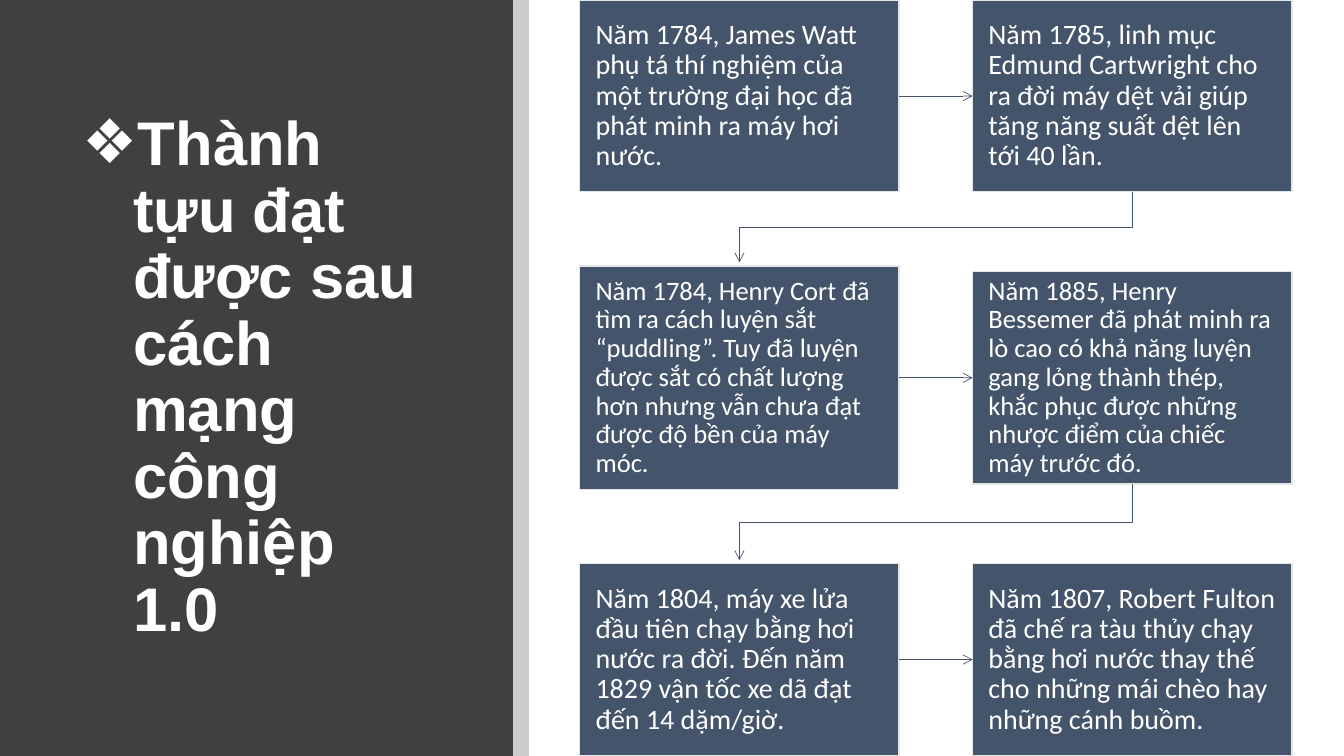
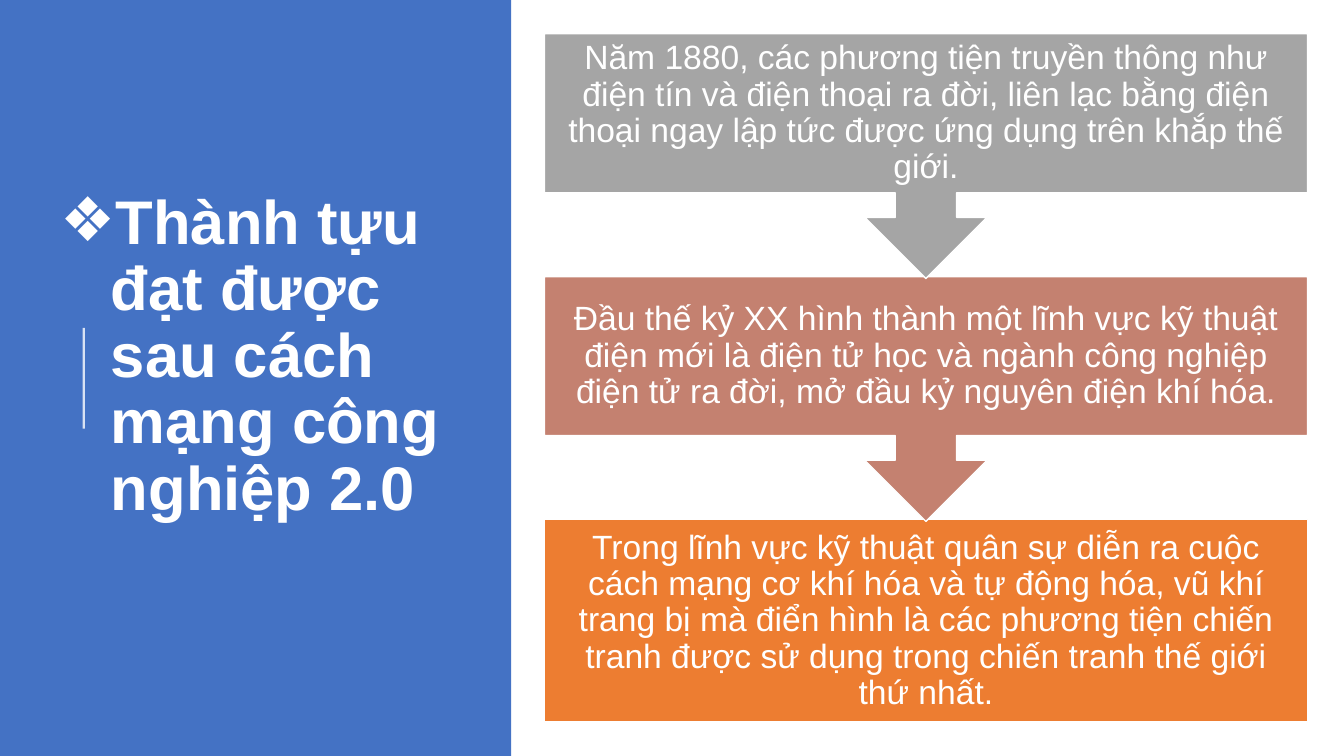
from dataclasses import dataclass
from itertools import pairwise

from lxml.etree import SubElement
from pptx import Presentation
from pptx.dml.color import RGBColor
from pptx.enum.shapes import MSO_CONNECTOR, MSO_SHAPE
from pptx.enum.text import MSO_ANCHOR, MSO_AUTO_SIZE, PP_ALIGN
from pptx.oxml.ns import qn
from pptx.util import Cm, Pt


@dataclass(frozen=True)
class Theme:
    white: str = "FFFFFF"
    black: str = "000000"
    charcoal: str = "404040"
    blue: str = "4472C4"
    slate: str = "44546A"
    pale: str = "E7E6E6"
    gray: str = "A5A5A5"
    clay: str = "C48170"
    orange: str = "ED7D31"
    head_font: str = "Arial"
    body_font: str = "Calibri"
    title_size: int = 44
    stage_size: int = 24
    spacing: float = 0.9


T = Theme()
SLIDE_W, SLIDE_H = Cm(33.87), Cm(19.05)

FIRST = {
    "title": "Thành tựu đạt được sau cách mạng công nghiệp 1.0",
    "title_at": (1.83, 2.03, 9.27, 15.01),
    "panel": (12.93, T.charcoal),
    "rows": [
        (20, [
            (4.83, "Năm 1784, James Watt phụ tá thí nghiệm của một trường đại học đã phát minh ra máy hơi nước."),
            (4.83, "Năm 1785, linh mục Edmund Cartwright cho ra đời máy dệt vải giúp tăng năng suất dệt lên tới 40 lần."),
        ]),
        (19, [
            (5.64, "Năm 1784, Henry Cort đã tìm ra cách luyện sắt “puddling”. Tuy đã luyện được sắt có chất lượng hơn nhưng vẫn chưa đạt được độ bền của máy móc."),
            (5.36, "Năm 1885, Henry Bessemer đã phát minh ra lò cao có khả năng luyện gang lỏng thành thép, khắc phục được những nhược điểm của chiếc máy trước đó."),
        ]),
        (20, [
            (4.83, "Năm 1804, máy xe lửa đầu tiên chạy bằng hơi nước ra đời. Đến năm 1829 vận tốc xe dã đạt đến 14 dặm/giờ."),
            (4.83, "Năm 1807, Robert Fulton đã chế ra tàu thủy chạy bằng hơi nước thay thế cho những mái chèo hay những cánh buồm."),
        ]),
    ],
}

SECOND = {
    "title": "Thành tựu đạt được sau cách mạng công nghiệp 2.0",
    "title_at": (1.27, 1.09, 10.21, 15.82),
    "panel": (12.88, T.blue),
    "stages": [
        (MSO_SHAPE.DOWN_ARROW_CALLOUT, 6.17, T.gray,
         "Năm 1880, các phương tiện truyền thông như điện tín và điện thoại ra đời, liên lạc bằng điện thoại ngay lập tức được ứng dụng trên khắp thế giới."),
        (MSO_SHAPE.DOWN_ARROW_CALLOUT, 6.17, T.clay,
         "Đầu thế kỷ XX hình thành một lĩnh vực kỹ thuật điện mới là điện tử học và ngành công nghiệp điện tử ra đời, mở đầu kỷ nguyên điện khí hóa."),
        (MSO_SHAPE.RECTANGLE, 5.11, T.orange,
         "Trong lĩnh vực kỹ thuật quân sự diễn ra cuộc cách mạng cơ khí hóa và tự động hóa, vũ khí trang bị mà điển hình là các phương tiện chiến tranh được sử dụng trong chiến tranh thế giới thứ nhất."),
    ],
}


def set_alpha(fill_parent, percent):
    clr = next(fill_parent.iter(qn("a:srgbClr")))
    SubElement(clr, qn("a:alpha"), val=str(percent * 1000))


def add_box(slide, kind, x, y, w, h, fill, line=None):
    sp = slide.shapes.add_shape(kind, x, y, w, h)
    sp.shadow.inherit = False
    sp.fill.solid()
    sp.fill.fore_color.rgb = RGBColor.from_string(fill)
    if line:
        sp.line.color.rgb = RGBColor.from_string(line)
        sp.line.width = Pt(1)
    else:
        sp.line.fill.background()
    return sp


def write(sp, text, font, size, align=PP_ALIGN.LEFT, bold=False, inset=None):
    tf = sp.text_frame
    tf.word_wrap = True
    tf.auto_size = MSO_AUTO_SIZE.NONE
    tf.vertical_anchor = MSO_ANCHOR.MIDDLE
    if inset is not None:
        tf.margin_left = tf.margin_right = tf.margin_top = tf.margin_bottom = inset
    p = tf.paragraphs[0]
    p.alignment = align
    p.line_spacing = T.spacing
    r = p.add_run()
    r.text = text
    r.font.name = font
    r.font.size = Pt(size)
    r.font.bold = bold
    r.font.color.rgb = RGBColor.from_string(T.white)
    return p


def add_line(slide, kind, x1, y1, x2, y2, color, width, arrow=False):
    cx = slide.shapes.add_connector(kind, x1, y1, x2, y2)
    cx.line.color.rgb = RGBColor.from_string(color)
    cx.line.width = Pt(width)
    if arrow:
        SubElement(cx.line._get_or_add_ln(), qn("a:tailEnd"), type="arrow")
    SubElement(cx._element.spPr, qn("a:effectLst"))
    return cx


def add_turn(slide, upper, lower):
    x1, y1 = upper.left + upper.width // 2, upper.top + upper.height
    x2, y2 = lower.left + lower.width // 2, lower.top - Cm(0.09)
    mid_x, mid_y = (x1 + x2) // 2, (y1 + y2) // 2
    half_drop, half_run = (y2 - y1) // 2, (x1 - x2) // 2
    cx = add_line(slide, MSO_CONNECTOR.ELBOW, mid_x - half_drop, mid_y - half_run,
                  mid_x + half_drop, mid_y + half_run, T.slate, 0.5, arrow=True)
    cx._element.spPr.find(qn("a:xfrm")).set("rot", str(90 * 60000))


def start_slide(prs, content):
    slide = prs.slides.add_slide(prs.slide_layouts[5])
    width, color = content["panel"]
    panel = add_box(slide, MSO_SHAPE.RECTANGLE, 0, 0, Cm(width), SLIDE_H, color)
    slide.shapes._spTree.insert(2, panel._element)
    title = slide.shapes.title
    title.left, title.top, title.width, title.height = map(Cm, content["title_at"])
    p = write(title, content["title"], T.head_font, T.title_size, bold=True)
    pPr = p._p.get_or_add_pPr()
    pPr.set("marL", str(Cm(1.27)))
    pPr.set("indent", str(-Cm(1.27)))
    SubElement(pPr, qn("a:buFont"), typeface=T.head_font)
    SubElement(pPr, qn("a:buChar"), char="❖")
    return slide


def build_first(prs):
    slide = start_slide(prs, FIRST)
    stripe = add_box(slide, MSO_SHAPE.RECTANGLE, Cm(FIRST["panel"][0]), 0, Cm(0.4), SLIDE_H, T.black)
    set_alpha(stripe._element.spPr, 20)

    left, pitch_x, width = Cm(14.61), Cm(9.9), Cm(8.05)
    center_y, pitch_y = Cm(2.42), Cm(7.1)
    grid = []
    for i, (size, cells) in enumerate(FIRST["rows"]):
        boxes = []
        for j, (height, text) in enumerate(cells):
            h = Cm(height)
            sp = add_box(slide, MSO_SHAPE.RECTANGLE, left + j * pitch_x,
                         center_y + i * pitch_y - h // 2, width, h, T.slate, T.pale)
            write(sp, text, T.body_font, size, inset=Cm(0.4))
            boxes.append(sp)
        grid.append(boxes)

    for a, b in grid:
        cx = add_line(slide, MSO_CONNECTOR.STRAIGHT, 0, 0, 0, 0, T.slate, 0.5, arrow=True)
        cx.begin_connect(a, 3)
        cx.end_connect(b, 1)
    for upper, lower in pairwise(grid):
        add_turn(slide, upper[1], lower[0])


def build_second(prs):
    slide = start_slide(prs, SECOND)
    rule = add_line(slide, MSO_CONNECTOR.STRAIGHT, Cm(2.11), Cm(10.8), Cm(2.11), Cm(8.26), T.white, 1.5)
    set_alpha(rule.line._get_or_add_ln(), 80)

    left, top, pitch, width = Cm(13.72), Cm(0.85), Cm(6.12), Cm(19.23)
    for i, (kind, height, color, text) in reversed(list(enumerate(SECOND["stages"]))):
        sp = add_box(slide, kind, left, top + i * pitch, width, Cm(height), color, T.white)
        write(sp, text, T.head_font, T.stage_size, PP_ALIGN.CENTER, inset=Cm(0.48))


def main():
    prs = Presentation()
    prs.slide_width, prs.slide_height = SLIDE_W, SLIDE_H
    build_first(prs)
    build_second(prs)
    prs.save("out.pptx")


if __name__ == "__main__":
    main()
